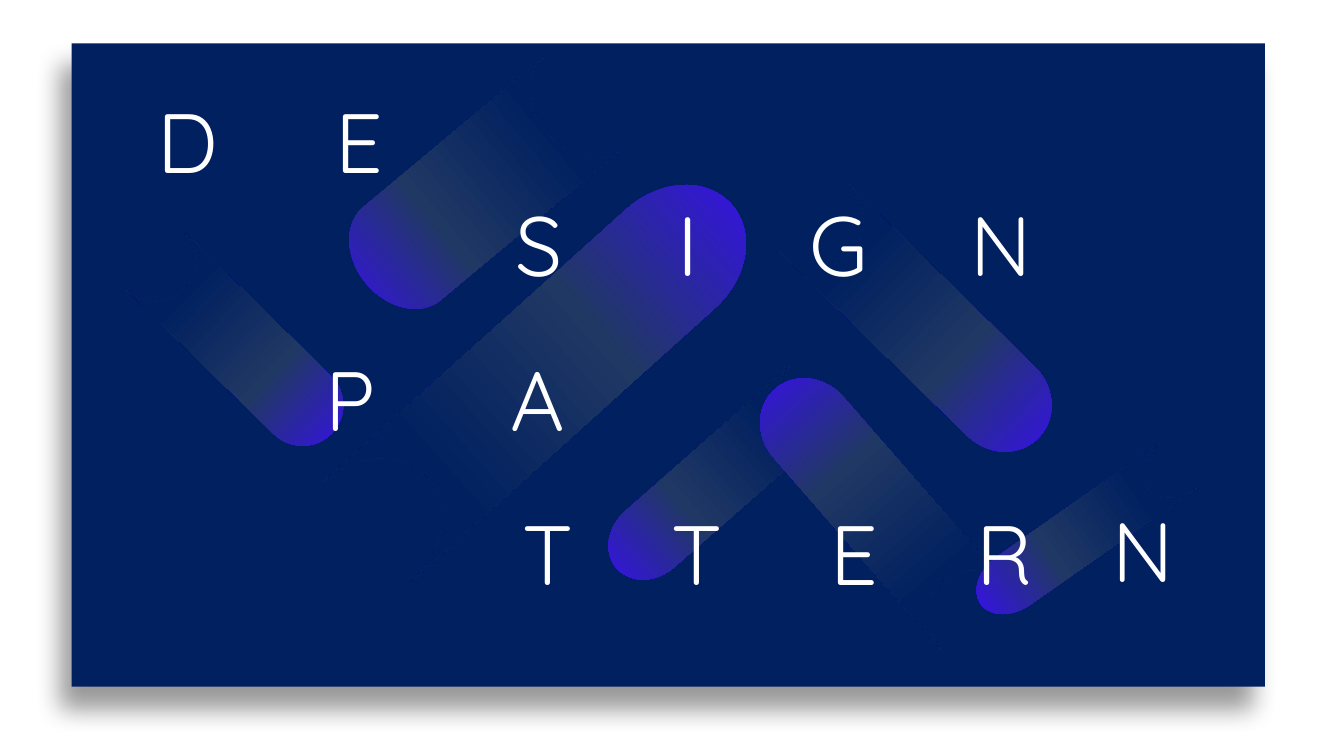
from copy import deepcopy
from typing import NamedTuple

from lxml.etree import SubElement
from pptx import Presentation
from pptx.dml.color import RGBColor
from pptx.enum.shapes import MSO_SHAPE as Preset
from pptx.enum.text import MSO_AUTO_SIZE as AutoSize, PP_ALIGN as Align
from pptx.oxml.ns import qn
from pptx.util import Pt

NAVY, SLATE, VIOLET, WHITE = "002060", "203864", "3A0CFC", "FFFFFF"
LETTER_HEIGHT = 80


class Streak(NamedTuple):
    """A rounded bar that fades into the panel; lengths in points."""
    left: float
    top: float
    width: float
    height: float
    rotation: float
    middle: float = 0.38


class Letter(NamedTuple):
    """One letter of the title, placed by its centre; lengths in points."""
    char: str
    center: float
    top: float


STREAKS = [
    Streak(238.3, 95, 200.9, 86.4, 320.2),
    Streak(217.4, 215.3, 349.9, 95, 138, 0.4),
    Streak(85.7, 218.9, 176.4, 58.3, 224.4),
    Streak(548.6, 199.4, 225.4, 69.1, 224.4, 0.39),
    Streak(416.9, 316.8, 189.4, 53.3, 318.7),
    Streak(516.2, 326.9, 218.2, 66.2, 48.9),
    Streak(684.7, 360.7, 173.5, 41.8, 325),
]

LETTER_WIDTHS = {"D": 59, "E": 55, "S": 54, "I": 30, "G": 61, "N": 60,
                 "P": 51, "A": 52, "T": 53, "R": 55}

ROW_1, ROW_2, ROW_3, ROW_4 = 60.5, 134, 245, 355
LETTERS = [
    Letter("D", 134, ROW_1), Letter("E", 257, ROW_1),
    Letter("S", 385, ROW_2), Letter("I", 491.5, ROW_2),
    Letter("G", 599, ROW_2), Letter("N", 715, ROW_2),
    Letter("P", 250.5, ROW_3), Letter("A", 383.5, ROW_3),
    Letter("T", 391.5, ROW_4), Letter("T", 498, ROW_4),
    Letter("E", 610.5, ROW_4), Letter("R", 718, ROW_4),
    Letter("N", 816.5, ROW_4 - 2.5),
]


def color(code: str) -> RGBColor:
    """Turn a hex string into a colour."""
    return RGBColor.from_string(code)


def add_preset(slide, preset, left: float, top: float, width: float, height: float):
    """Add a preset shape without outline or shadow."""
    shape = slide.shapes.add_shape(preset, Pt(left), Pt(top), Pt(width), Pt(height))
    shape.shadow.inherit = False
    shape.line.fill.background()
    return shape


def add_shadow(shape, blur: float, distance: float, angle: float, opacity: int) -> None:
    """Give a shape a black outer shadow."""
    effects = shape.element.spPr.find(qn("a:effectLst"))
    shadow = SubElement(effects, qn("a:outerShdw"), blurRad=str(Pt(blur)),
                        dist=str(Pt(distance)), dir=str(int(angle * 60000)),
                        algn="t", rotWithShape="0")
    black = SubElement(shadow, qn("a:srgbClr"), val="000000")
    SubElement(black, qn("a:alpha"), val=str(opacity * 1000))


def add_panel(slide) -> None:
    """Draw the navy panel with its shadow."""
    panel = add_preset(slide, Preset.RECTANGLE, 51.1, 31, 852.5, 459.4)
    panel.fill.solid()
    panel.fill.fore_color.rgb = color(NAVY)
    add_shadow(panel, blur=18, distance=18, angle=115, opacity=40)


def add_streak(slide, streak: Streak) -> None:
    """Draw one streak with a three-stop gradient along its length."""
    bar = add_preset(slide, Preset.FLOWCHART_STORED_DATA, *streak[:4])
    bar.rotation = streak.rotation
    bar.fill.gradient()
    bar.fill.gradient_angle = 0
    stop_list = bar.element.spPr.find(qn("a:gradFill")).find(qn("a:gsLst"))
    stop_list.append(deepcopy(stop_list[0]))
    fade = [(0, VIOLET), (streak.middle, SLATE), (0.75, NAVY)]
    for stop, (position, code) in zip(bar.fill.gradient_stops, fade):
        stop.position = position
        stop.color.rgb = color(code)


def add_text(slide, text: str, left: float, top: float, width: float, height: float,
             *, size: float, font: str, code: str) -> None:
    """Add an unwrapped, centred line of text."""
    box = slide.shapes.add_textbox(Pt(left), Pt(top), Pt(width), Pt(height))
    frame = box.text_frame
    frame.word_wrap = False
    frame.auto_size = AutoSize.SHAPE_TO_FIT_TEXT
    paragraph = frame.paragraphs[0]
    paragraph.alignment = Align.CENTER
    run = paragraph.add_run()
    run.text = text
    run.font.size = Pt(size)
    run.font.name = font
    run.font.color.rgb = color(code)


def main() -> None:
    """Build and save the slide."""
    deck = Presentation()
    deck.slide_width, deck.slide_height = Pt(960), Pt(540)
    slide = deck.slides.add_slide(deck.slide_layouts[6])
    add_panel(slide)
    for streak in STREAKS:
        add_streak(slide, streak)
    for letter in LETTERS:
        width = LETTER_WIDTHS[letter.char]
        add_text(slide, letter.char, letter.center - width / 2, letter.top, width,
                 LETTER_HEIGHT, size=60, font="Quicksand", code=WHITE)
    deck.save("out.pptx")


main()
